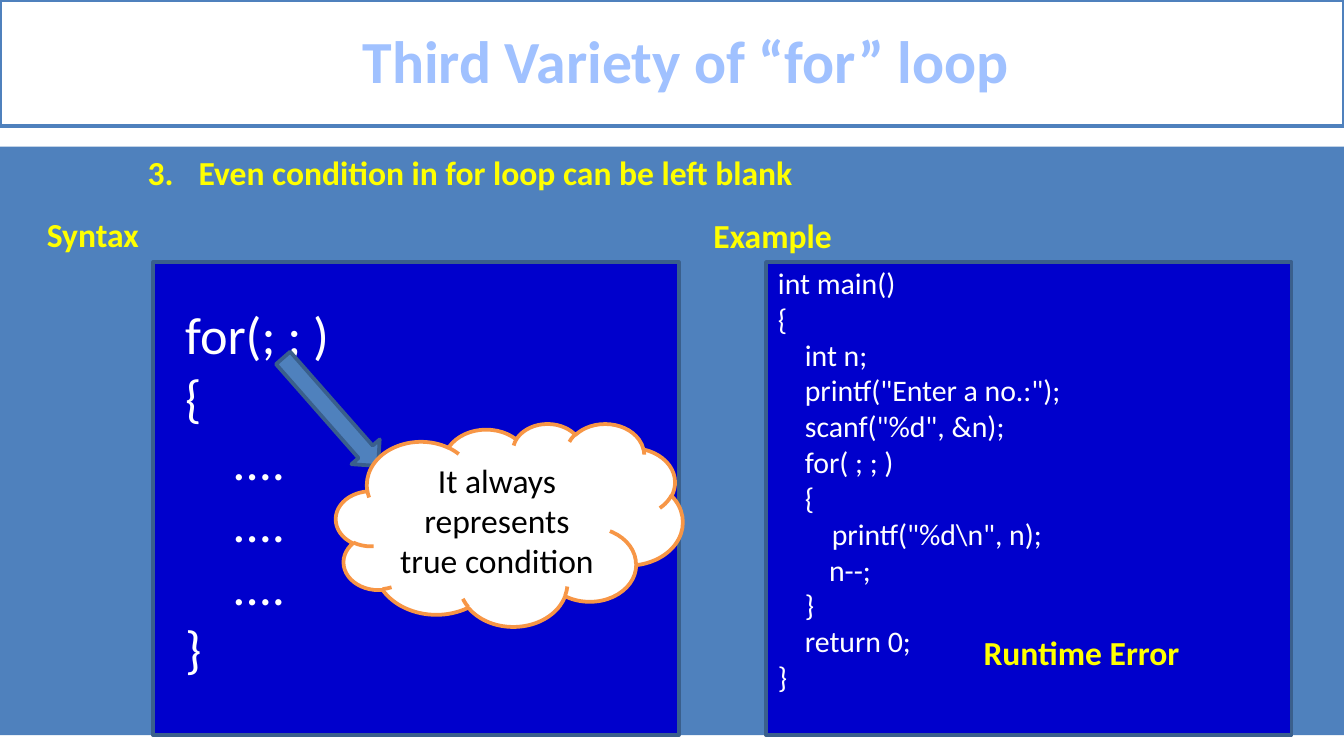
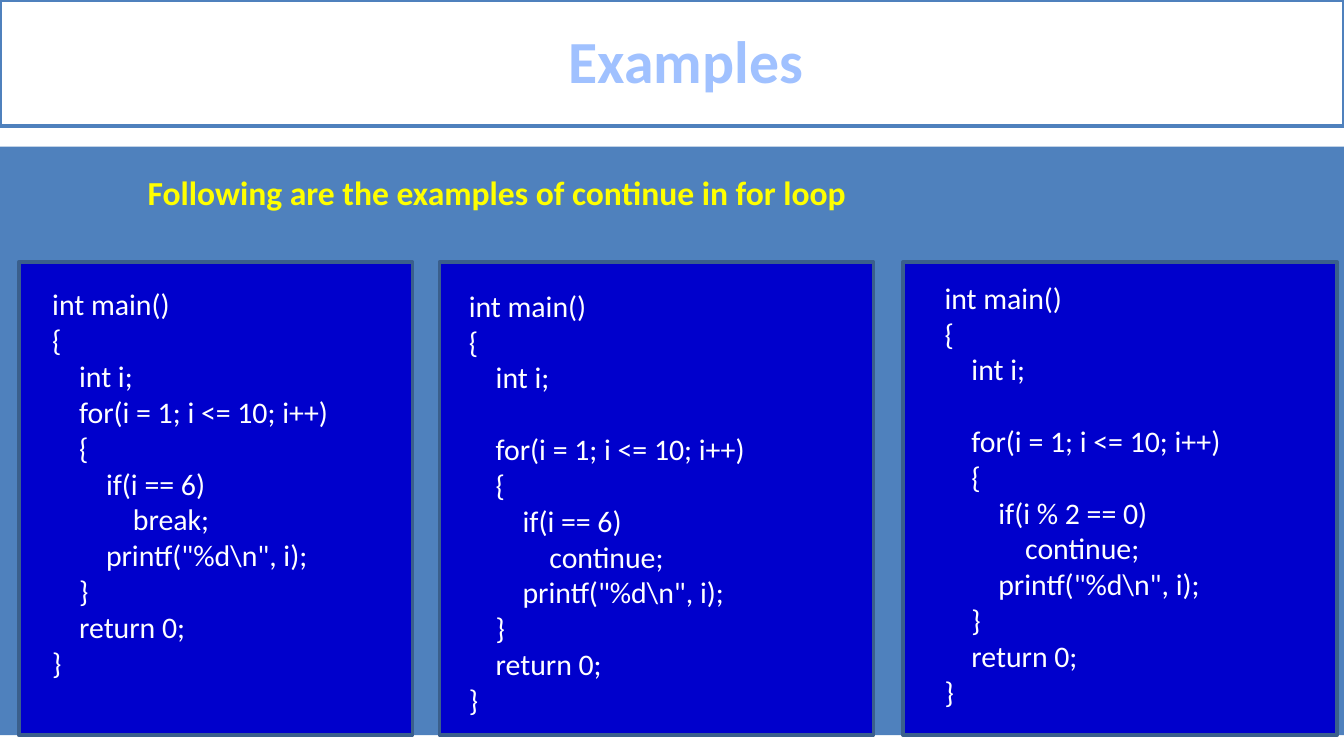
"""Build two slides on varieties and examples of the C for loop."""
from lxml.etree import SubElement
from pptx import Presentation
from pptx.dml.color import RGBColor
from pptx.enum.shapes import MSO_SHAPE
from pptx.enum.text import MSO_AUTO_SIZE, PP_ALIGN
from pptx.oxml.ns import qn
from pptx.util import Inches, Pt

WHITE = RGBColor(0xFF, 0xFF, 0xFF)
BLACK = RGBColor(0x00, 0x00, 0x00)
BLUE = RGBColor(0x4F, 0x81, 0xBD)
DARK_BLUE = RGBColor(0x3A, 0x5F, 0x8C)
CODE_BLUE = RGBColor(0x00, 0x00, 0xCC)
TITLE_BLUE = RGBColor(0xA0, 0xC1, 0xFF)
YELLOW = RGBColor(0xFF, 0xFF, 0x00)
ORANGE = RGBColor(0xF7, 0x96, 0x46)
FONT = "Calibri"
PANEL_TOP, PANEL_HEIGHT = 1.95, 3.52
HANGING = (1.38, -0.38)
INDENTED = (1, 0)


def add_box(slide, position, fill, line=None, kind=MSO_SHAPE.RECTANGLE):
    """Add a filled preset shape with an optional outline."""
    shape = slide.shapes.add_shape(kind, *map(Inches, position))
    shape.shadow.inherit = False
    shape.fill.solid()
    shape.fill.fore_color.rgb = fill
    if line is None:
        shape.line.fill.background()
    else:
        shape.line.color.rgb = line
        shape.line.width = Pt(2)
    return shape


def write_text(shape, text, size, color, bold=False, indent=(0, 0), align=PP_ALIGN.LEFT, number=None):
    """Fill a shape with text, one paragraph a line."""
    frame = shape.text_frame
    frame.word_wrap = True
    frame.text = text
    for paragraph in frame.paragraphs:
        paragraph.alignment = align
        properties = paragraph._p.get_or_add_pPr()
        properties.set("marL", str(Inches(indent[0])))
        properties.set("indent", str(Inches(indent[1])))
        if number:
            SubElement(properties, qn("a:buAutoNum"), type="arabicPeriod", startAt=str(number))
        for run in paragraph.runs:
            run.font.name = FONT
            run.font.size = Pt(size)
            run.font.bold = bold
            run.font.color.rgb = color


presentation = Presentation()
presentation.slide_width = Inches(10)
presentation.slide_height = Inches(10) * 9 // 16

slides = []
for title in ("Third Variety of “for” loop", "Examples"):
    slide = presentation.slides.add_slide(presentation.slide_layouts[6])
    add_box(slide, (0, 1.09, 10, 4.38), BLUE)
    title_band = add_box(slide, (0, 0, 10, 0.94), WHITE, BLUE)
    write_text(title_band, title, 32, TITLE_BLUE, True, (0.21, 0), PP_ALIGN.CENTER)
    title_band.text_frame.paragraphs[0].line_spacing = 0.96
    slides.append(slide)
variety_slide, examples_slide = slides

syntax_code = """for(; ; )
{
    ....
    ....
    ....
}"""
endless_code = r"""int main()
{
    int n;
    printf("Enter a no.:");
    scanf("%d", &n);
    for( ; ; )
    {
        printf("%d\n", n);
TABn--;
    }
    return 0;
}""".replace("TAB", "\t")

code_panels = [
    (variety_slide, 1.14, 3.91, (0.28, 2.2, 4.69, 2.93), 28, syntax_code),
    (variety_slide, 5.7, 3.91, (4.69, 1.92, 4.69, 3.33), 16, endless_code),
]
loop_examples = [
    (0.14, 2.93, (-0.71, 2.08, 4.69, 3.06), "", "i == 6", "break"),
    (3.27, 3.23, (2.39, 2.09, 3.87, 3.33), "    \n", "i == 6", "continue"),
    (6.72, 3.23, (5.93, 2.03, 3.87, 3.33), "   \n", "i % 2 == 0", "continue"),
]
for left, width, text_position, gap, condition, action in loop_examples:
    code = rf"""int main()
{{
    int i;
{gap}    for(i = 1; i <= 10; i++)
    {{
        if({condition})
            {action};
        printf("%d\n", i);
    }}
    return 0;
}}"""
    code_panels.append((examples_slide, left, width, text_position, 16, code))

for slide, left, width, text_position, size, code in code_panels:
    add_box(slide, (left, PANEL_TOP, width, PANEL_HEIGHT), CODE_BLUE, DARK_BLUE)
    code_box = slide.shapes.add_textbox(*map(Inches, text_position))
    write_text(code_box, code, size, WHITE, indent=HANGING)
    code_box.text_frame.auto_size = MSO_AUTO_SIZE.SHAPE_TO_FIT_TEXT

labels = [
    (variety_slide, (0, 1.08, 10, 0.4), "Even condition in for loop can be left blank", HANGING, 3),
    (variety_slide, (-0.75, 1.54, 1.98, 0.4), "Syntax", INDENTED, None),
    (variety_slide, (4.21, 1.55, 3.19, 0.36), "Example", INDENTED, None),
    (variety_slide, (6.22, 4.65, 3.19, 0.4), "Runtime Error", INDENTED, None),
    (examples_slide, (0, 1.23, 10, 0.4), "Following are the examples of continue in for loop", INDENTED, None),
]
for slide, position, text, indent, number in labels:
    label = slide.shapes.add_textbox(*map(Inches, position))
    write_text(label, text, 18, YELLOW, True, indent, number=number)
    label.text_frame.auto_size = MSO_AUTO_SIZE.SHAPE_TO_FIT_TEXT

arrow = add_box(variety_slide, (2.32, 2.53, 0.28, 1.07), BLUE, DARK_BLUE, MSO_SHAPE.DOWN_ARROW)
arrow.rotation = 318.7
cloud = add_box(variety_slide, (2.5, 3.15, 2.58, 1.51), WHITE, ORANGE, MSO_SHAPE.CLOUD)
write_text(cloud, "It always\nrepresents\ntrue condition", 18, BLACK, align=PP_ALIGN.CENTER)

presentation.save("out.pptx")
